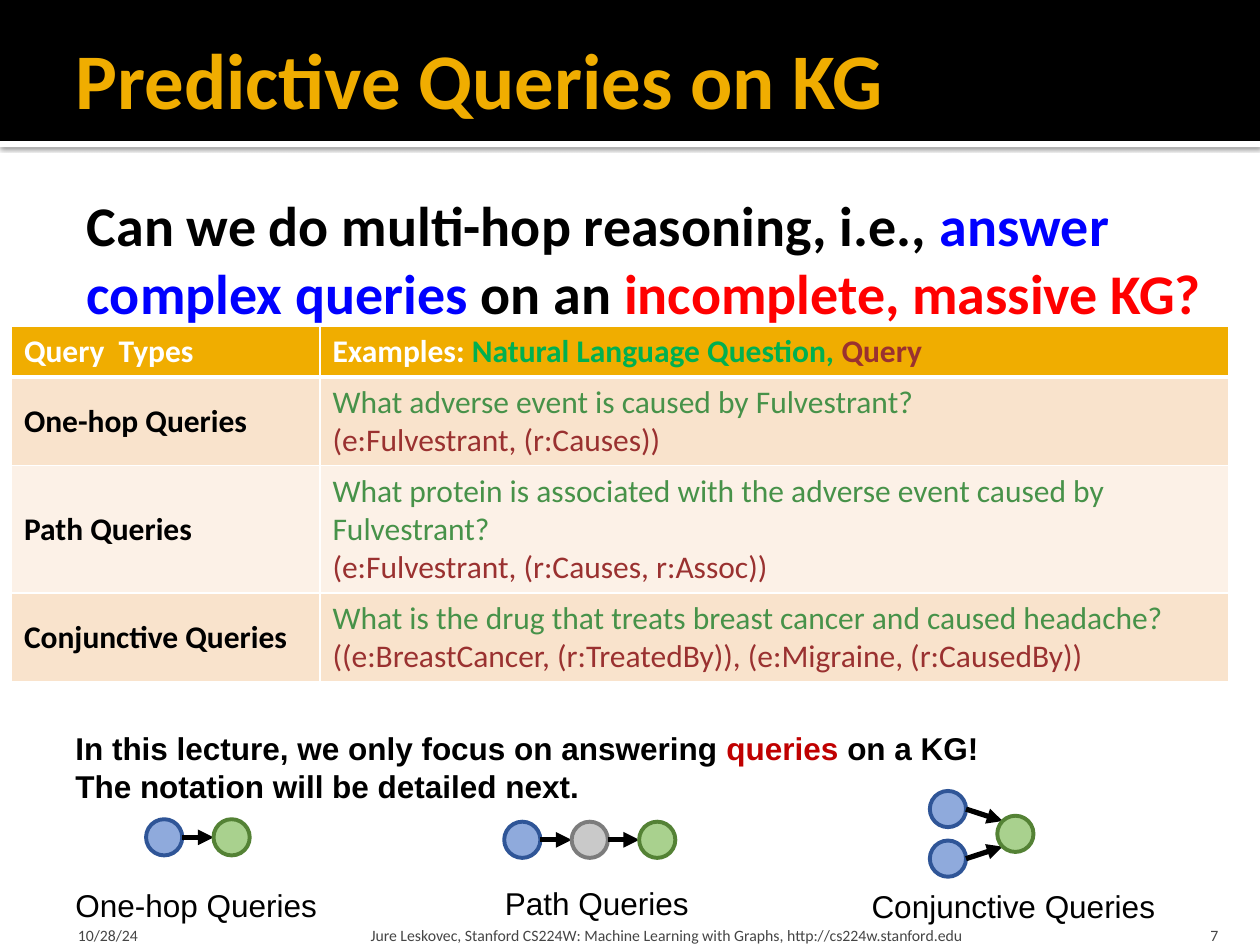
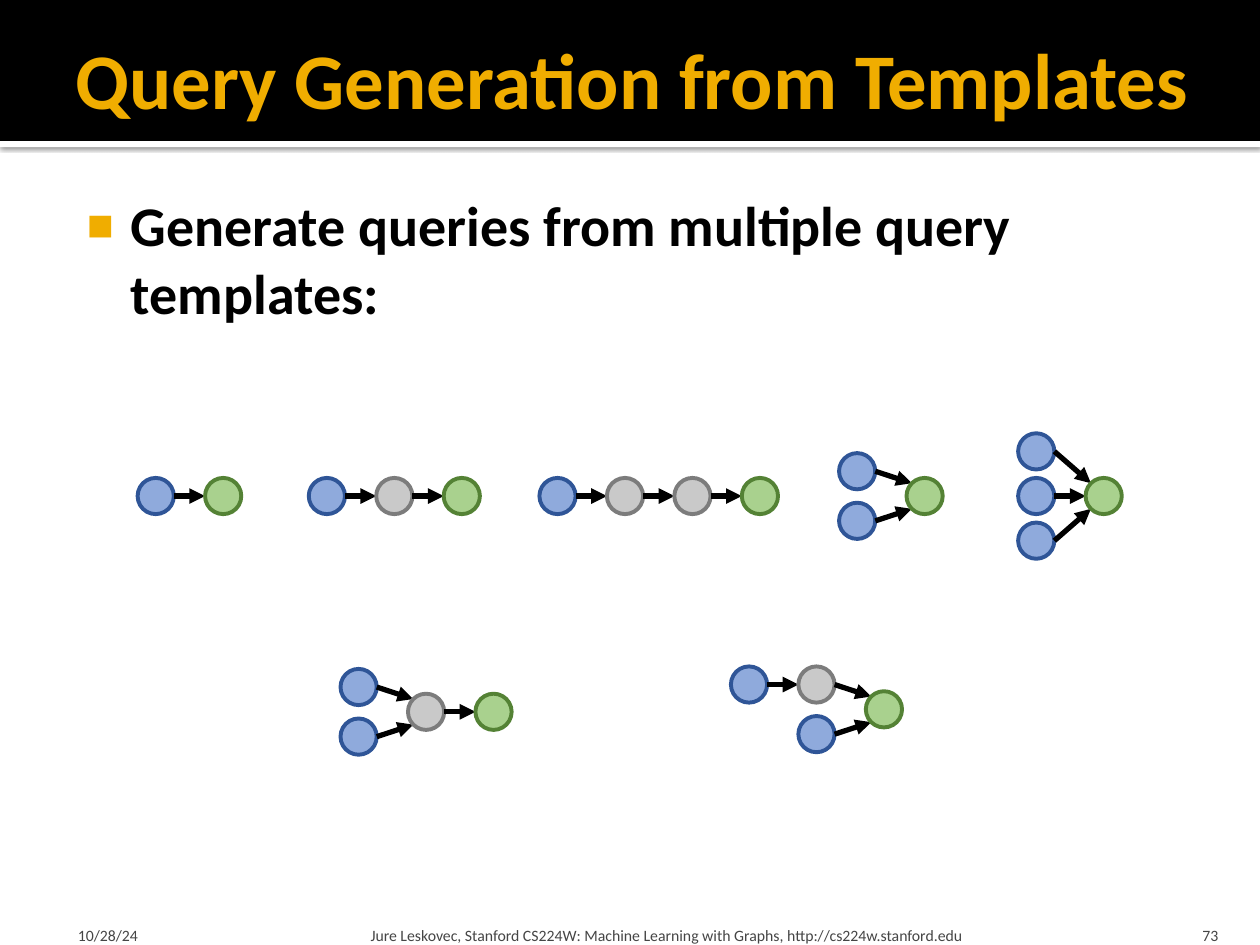
from dataclasses import dataclass
from math import sqrt

from lxml import etree
from pptx import Presentation
from pptx.dml.color import RGBColor
from pptx.enum.shapes import MSO_CONNECTOR, MSO_SHAPE
from pptx.enum.text import MSO_ANCHOR, MSO_AUTO_SIZE, PP_ALIGN
from pptx.oxml.ns import qn
from pptx.util import Cm, Pt

ELLIPSE, RECTANGLE = MSO_SHAPE.OVAL, MSO_SHAPE.RECTANGLE
STRAIGHT = MSO_CONNECTOR.STRAIGHT
TOP, MIDDLE, BOTTOM = MSO_ANCHOR.TOP, MSO_ANCHOR.MIDDLE, MSO_ANCHOR.BOTTOM
LEFT, RIGHT = PP_ALIGN.LEFT, PP_ALIGN.RIGHT
NO_FIT = MSO_AUTO_SIZE.NONE


@dataclass(frozen=True)
class Theme:
    heading_font: str = "Calibri"
    note_font: str = "Arial"
    title_size: int = 45
    body_size: int = 32
    text_size: int = 18
    footer_size: int = 9
    black: str = "000000"
    white: str = "FFFFFF"
    gold: str = "F0AD00"
    blue: str = "0000FF"
    red: str = "FF0000"
    dark_red: str = "C00000"
    brown: str = "9A3130"
    bright_green: str = "00B050"
    green: str = "479249"
    gray: str = "454545"
    row_dark: str = "F9E3CC"
    row_light: str = "FCF1E7"


theme = Theme()
NODE_COLORS = {
    "anchor": ("8FAADC", "2F5597"),
    "hop": ("C9C9C9", "7C7C7C"),
    "answer": ("A9D18E", "548235"),
}
DIAMETER = 0.73
COLUMN_STEP = 1.36

# Each node: column, vertical offset, role, index of the node it points to.
QUERY_GRAPHS = {
    "one hop": [(0, 0, "anchor", 1), (1, 0, "answer", None)],
    "two hops": [(0, 0, "anchor", 1), (1, 0, "hop", 2), (2, 0, "answer", None)],
    "three hops": [(0, 0, "anchor", 1), (1, 0, "hop", 2), (2, 0, "hop", 3),
                   (3, 0, "answer", None)],
    "two joined": [(0, -0.5, "anchor", 2), (0, 0.5, "anchor", 2),
                   (1, 0, "answer", None)],
    "three joined": [(0, -0.9, "anchor", 3), (0, 0, "anchor", 3),
                     (0, 0.9, "anchor", 3), (1, 0, "answer", None)],
    "joined then hop": [(0, -0.5, "anchor", 2), (0, 0.5, "anchor", 2),
                        (1, 0, "hop", 3), (2, 0, "answer", None)],
    "hop then joined": [(0, -0.5, "anchor", 1), (1, -0.5, "hop", 3),
                        (1, 0.5, "anchor", 3), (2, 0, "answer", None)],
}


def add_runs(paragraph, runs, size, bold=False, font=theme.heading_font):
    for text, color in runs:
        run = paragraph.add_run()
        run.text = text
        run.font.name = font
        run.font.size = Pt(size)
        run.font.bold = bold
        run.font.color.rgb = RGBColor.from_string(color)


def draw_query_graph(slide, graph_name, left, middle):
    nodes = QUERY_GRAPHS[graph_name]
    radius = DIAMETER / 2
    centers = [(left + column * COLUMN_STEP, middle + offset)
               for column, offset, role, target in nodes]
    for (x, y), (column, offset, role, target) in zip(centers, nodes):
        fill, outline = NODE_COLORS[role]
        node = slide.shapes.add_shape(ELLIPSE, Cm(x - radius), Cm(y - radius),
                                      Cm(DIAMETER), Cm(DIAMETER))
        node.shadow.inherit = False
        node.fill.solid()
        node.fill.fore_color.rgb = RGBColor.from_string(fill)
        node.line.color.rgb = RGBColor.from_string(outline)
        node.line.width = Pt(2.25)
        if target is None:
            continue
        end_x, end_y = centers[target]
        if end_y == y:
            end_x -= radius
        else:
            end_x -= radius / sqrt(2)
            end_y += radius / sqrt(2) * (1 if y > end_y else -1)
        arrow = slide.shapes.add_connector(STRAIGHT, Cm(x + radius), Cm(y),
                                           Cm(end_x), Cm(end_y))
        arrow.line.color.rgb = RGBColor.from_string(theme.black)
        arrow.line.width = Pt(3)
        properties = arrow.element.spPr
        etree.SubElement(properties.find(qn("a:ln")), qn("a:tailEnd"), type="triangle")
        etree.SubElement(properties, qn("a:effectLst"))


presentation = Presentation()
presentation.slide_width = Cm(25.4)
presentation.slide_height = Cm(19.05)
layout = presentation.slide_layouts[1]
for placeholder in list(layout.placeholders):
    if placeholder.placeholder_format.idx >= 10:
        placeholder.element.getparent().remove(placeholder.element)

SLIDES = [
    ("Predictive Queries on KG", 22.86, "7", 23.57, 0.33, 0,
     [("Can we do multi-hop reasoning, i.e., ", theme.black),
      ("answer complex queries", theme.blue),
      (" on an ", theme.black),
      ("incomplete, massive KG?", theme.red)]),
    ("Query Generation from Templates", 24.13, "73", 22.86, 1.22, -0.89,
     [("Generate queries from multiple query templates:", theme.black)]),
]
slides = []
for title_text, title_width, number, body_width, margin, indent, body_runs in SLIDES:
    slide = presentation.slides.add_slide(layout)
    slides.append(slide)

    title, body = slide.shapes.title, slide.placeholders[1]
    for placeholder, top, width, height, anchor, insets in (
        (title, 0.2, title_width, 2.74, MIDDLE, (0.25, 0.13, 0.13, 0.13)),
        (body, 3.6, body_width, 14.6, TOP, (0.15, 0.25, 0.25, 0.13)),
    ):
        placeholder.left, placeholder.top = Cm(1.27), Cm(top)
        placeholder.width, placeholder.height = Cm(width), Cm(height)
        frame = placeholder.text_frame
        frame.auto_size = NO_FIT
        frame.word_wrap = True
        frame.vertical_anchor = anchor
        (frame.margin_left, frame.margin_top,
         frame.margin_right, frame.margin_bottom) = map(Cm, insets)
        frame.paragraphs[0].alignment = LEFT
        frame.paragraphs[0].space_before = Pt(0)

    add_runs(title.text_frame.paragraphs[0], [(title_text, theme.gold)],
             theme.title_size, bold=True)

    paragraph = body.text_frame.paragraphs[0]
    paragraph_properties = paragraph._p.get_or_add_pPr()
    paragraph_properties.set("marL", str(Cm(margin)))
    paragraph_properties.set("indent", str(Cm(indent)))
    if indent:
        bullet_color = etree.SubElement(paragraph_properties, qn("a:buClr"))
        etree.SubElement(bullet_color, qn("a:srgbClr"), val=theme.gold)
        etree.SubElement(paragraph_properties, qn("a:buSzPct"), val="80000")
        etree.SubElement(paragraph_properties, qn("a:buChar"), char="■")
    else:
        etree.SubElement(paragraph_properties, qn("a:buNone"))
    add_runs(paragraph, body_runs, theme.body_size, bold=True)

    for text, left, width, left_inset, right_inset, alignment in (
        ("10/28/24", 1.27, 5.92, 0.3, 0.13, LEFT),
        ("Jure Leskovec, Stanford CS224W: Machine Learning with Graphs, "
         "http://cs224w.stanford.edu", 7.34, 15.29, 0.13, 0.13, LEFT),
        (number, 22.78, 2.03, 0.25, 0.25, RIGHT),
    ):
        footer = slide.shapes.add_textbox(Cm(left), Cm(18.29), Cm(width), Cm(0.76))
        frame = footer.text_frame
        frame.word_wrap = True
        frame.vertical_anchor = BOTTOM
        frame.margin_left, frame.margin_right = Cm(left_inset), Cm(right_inset)
        frame.margin_top, frame.margin_bottom = Cm(0.13), 0
        frame.paragraphs[0].alignment = alignment
        add_runs(frame.paragraphs[0], [(text, theme.gray)], theme.footer_size)

query_slide, template_slide = slides

bands = []
for top, height, color in ((2.84, 0.13, theme.white), (0, 2.84, theme.black)):
    band = query_slide.shapes.add_shape(RECTANGLE, 0, Cm(top),
                                        presentation.slide_width, Cm(height))
    band.shadow.inherit = False
    band.fill.solid()
    band.fill.fore_color.rgb = RGBColor.from_string(color)
    band.line.fill.background()
    bands.append(band)
shadow = etree.SubElement(bands[0].element.spPr.find(qn("a:effectLst")),
                          qn("a:outerShdw"), blurRad=str(Pt(2.5)),
                          dist=str(Pt(0.8)), dir="5400000", rotWithShape="0")
shadow_color = etree.SubElement(shadow, qn("a:srgbClr"), val=theme.black)
etree.SubElement(shadow_color, qn("a:alpha"), val="60000")
for position, band in enumerate(bands, start=2):
    layout.shapes.element.insert(position, band.element)

HEADER = ("Query  Types", [[("Examples: ", theme.white),
                            ("Natural Language Question, ", theme.bright_green),
                            ("Query", theme.brown)]])
EXAMPLES = [
    ("One-hop Queries", "What adverse event is caused by Fulvestrant?",
     "(e:Fulvestrant, (r:Causes))"),
    ("Path Queries",
     "What protein is associated with the adverse event caused by Fulvestrant?",
     "(e:Fulvestrant, (r:Causes, r:Assoc))"),
    ("Conjunctive Queries",
     "What is the drug that treats breast cancer and caused headache?",
     "((e:BreastCancer, (r:TreatedBy)), (e:Migraine, (r:CausedBy))"),
]
table_rows = [HEADER] + [
    (name, [[(question, theme.green)], [(query, theme.brown)]])
    for name, question, query in EXAMPLES
]
table = query_slide.shapes.add_table(4, 2, Cm(0.23), Cm(2.59 * 2.54),
                                     Cm(24.54), Cm(7.11)).table
table.horz_banding = False
for column, width in zip(table.columns, (6.22, 18.32)):
    column.width = Cm(width)
for row, height in zip(table.rows, (1.02, 1.79, 2.57, 1.79)):
    row.height = Cm(height)
for row_index, (name, example) in enumerate(table_rows):
    is_header = row_index == 0
    name_color = theme.white if is_header else theme.black
    fill = (theme.gold, theme.row_dark, theme.row_light, theme.row_dark)[row_index]
    for column_index, lines in enumerate(([[(name, name_color)]], example)):
        cell = table.cell(row_index, column_index)
        cell_properties = cell._tc.get_or_add_tcPr()
        for side in ("lnL", "lnR", "lnT", "lnB"):
            thick = (side, row_index) in (("lnB", 0), ("lnT", 1))
            border = etree.SubElement(cell_properties, qn(f"a:{side}"),
                                      w=str(Pt(3 if thick else 1)))
            border_fill = etree.SubElement(border, qn("a:solidFill"))
            etree.SubElement(border_fill, qn("a:srgbClr"), val=theme.white)
        cell.fill.solid()
        cell.fill.fore_color.rgb = RGBColor.from_string(fill)
        cell.vertical_anchor = TOP if is_header or column_index else MIDDLE
        for line_index, runs in enumerate(lines):
            frame = cell.text_frame
            paragraph = frame.add_paragraph() if line_index else frame.paragraphs[0]
            add_runs(paragraph, runs, theme.text_size,
                     bold=is_header or column_index == 0)

note = query_slide.shapes.add_textbox(Cm(1.27), Cm(14.58), Cm(21.46), Cm(1.8))
note.text_frame.word_wrap = True
paragraph = note.text_frame.paragraphs[0]
add_runs(paragraph, [("In this lecture, we only focus on answering ", theme.black),
                     ("queries", theme.dark_red), (" on a KG!", theme.black)],
         theme.text_size, bold=True, font=theme.note_font)
paragraph.add_line_break()
add_runs(paragraph, [("The notation will be detailed next.", theme.black)],
         theme.text_size, bold=True, font=theme.note_font)

for graph_name, graph_left, middle, text, left, top, width in (
    ("one hop", 3.31, 16.88, "One-hop Queries", 1.27, 17.73, 5.44),
    ("two hops", 10.53, 16.93, "Path Queries", 9.93, 17.7, 4.24),
    ("two joined", 19.11, 16.81, "Conjunctive Queries", 17.32, 17.75, 6.27),
):
    draw_query_graph(query_slide, graph_name, graph_left, middle)
    caption = query_slide.shapes.add_textbox(Cm(left), Cm(top), Cm(width), Cm(1.02))
    caption.text_frame.word_wrap = False
    add_runs(caption.text_frame.paragraphs[0], [(text, theme.black)],
             theme.text_size, font=theme.note_font)

for graph_name, left, middle in (
    ("one hop", 3.14, 10),
    ("two hops", 6.59, 10),
    ("three hops", 11.24, 10),
    ("two joined", 17.28, 10),
    ("three joined", 20.89, 10),
    ("joined then hop", 7.23, 14.35),
    ("hop then joined", 15.1, 14.3),
):
    draw_query_graph(template_slide, graph_name, left, middle)

presentation.save("out.pptx")
